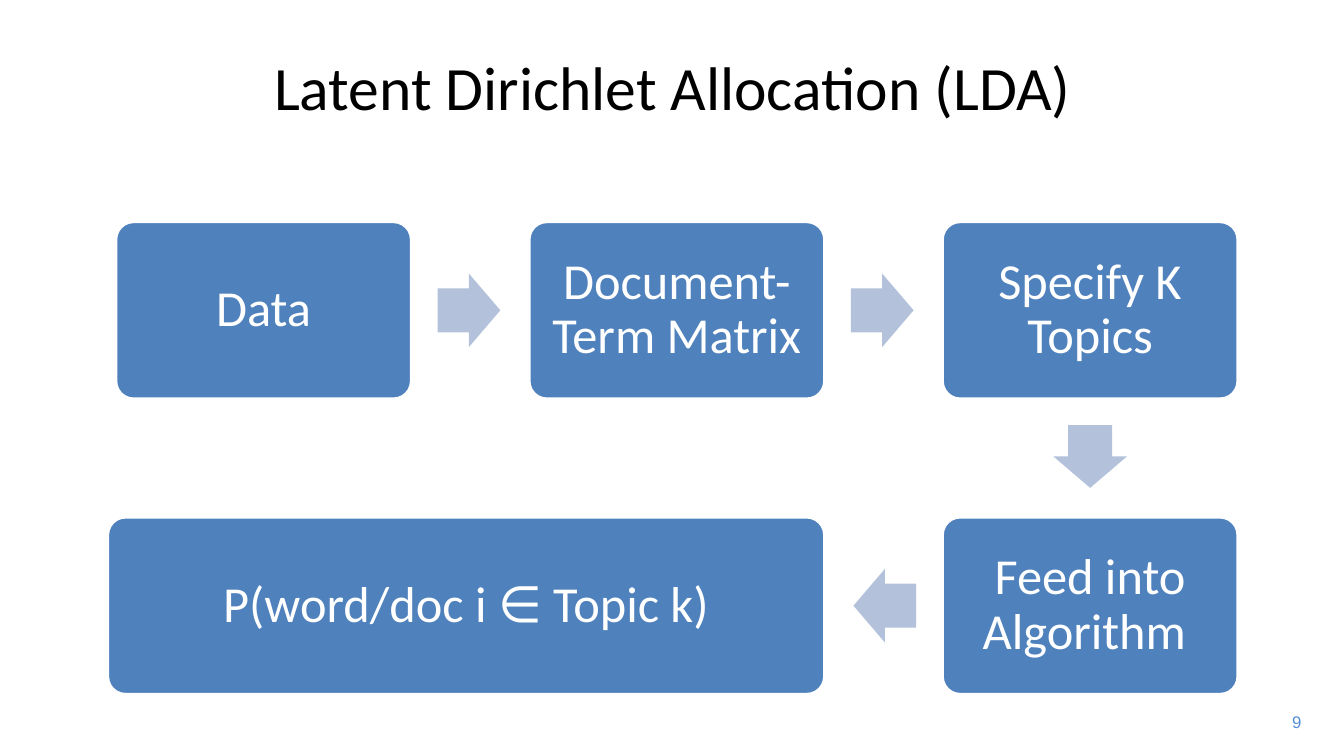
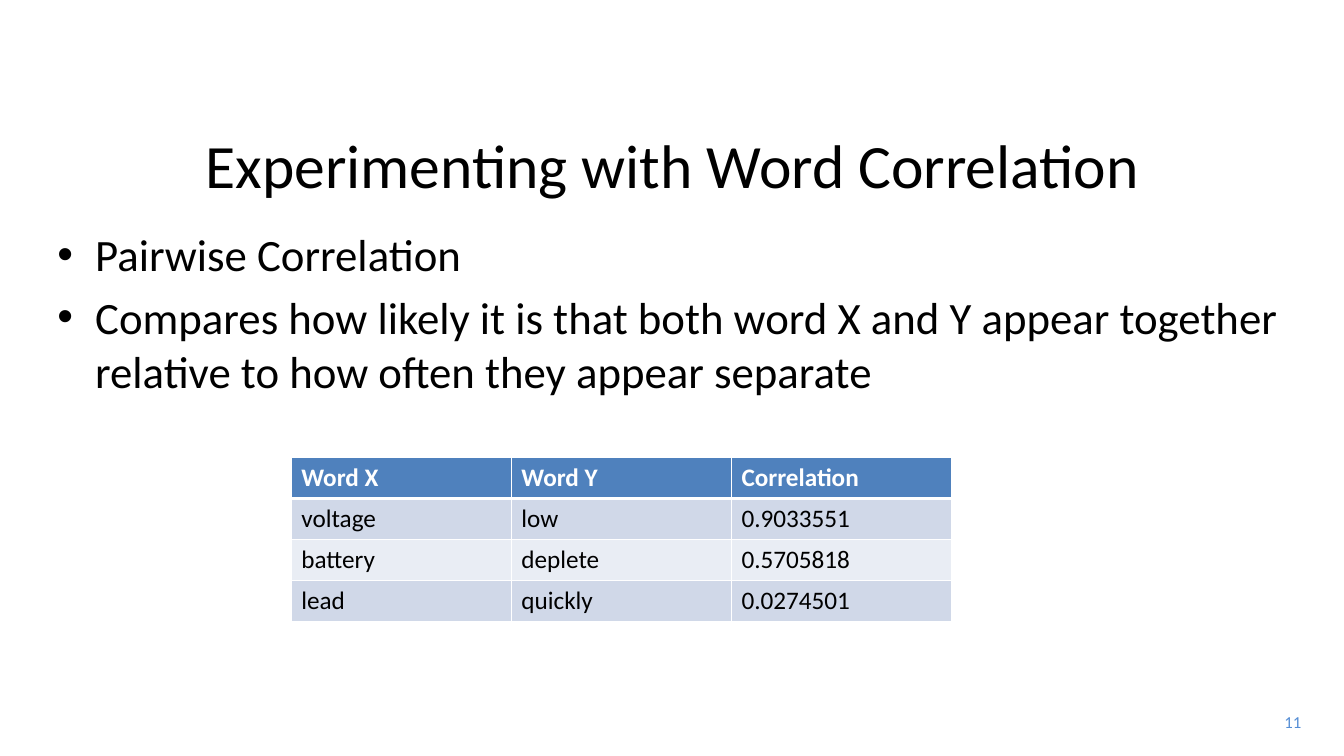
"""Build two slides on topic modelling and word correlation."""
from dataclasses import dataclass
from typing import Any

import pptx
import pptx.dml.color
import pptx.enum.shapes
import pptx.enum.text
import pptx.oxml
import pptx.oxml.ns
import pptx.util

Pt = pptx.util.Pt
ALIGN = pptx.enum.text.PP_ALIGN
ANCHOR = pptx.enum.text.MSO_ANCHOR
SHAPE = pptx.enum.shapes.MSO_SHAPE

BLACK, WHITE = "000000", "FFFFFF"
BLUE, PALE_BLUE, NUMBER_BLUE = "4F81BD", "B3C1DB", "558ED5"
BANDS = ("D0D8E8", "E9EDF4")

CONTENT_LEFT, CONTENT_WIDTH, TITLE_HEIGHT = 33.84, 893.5, 72.7
STEP_WIDTH, STEP_HEIGHT = 211, 126.5
STEP_LEFT, STEP_TOP = 82.8, 158.4
COLUMN_PITCH, ROW_PITCH = 295.2, 211
RESULT_LEFT = 77
ARROW_LENGTH, ARROW_BREADTH, ARROW_GAP = 44.8, 52.4, 18.8
ROW_HEIGHT, COLUMN_WIDTH = 29.2, 157.2

TITLE_FRAME = {"word_wrap": True, "vertical_anchor": ANCHOR.MIDDLE,
               "auto_size": pptx.enum.text.MSO_AUTO_SIZE.NONE}
STEP_FRAME = {"word_wrap": True, "vertical_anchor": ANCHOR.MIDDLE,
              **{f"margin_{side}": Pt(10.8) for side in ("left", "top", "right", "bottom")}}


@dataclass(frozen=True)
class Step:
    """A box of the process, with its grid cell and the turn of its outgoing arrow."""
    label: str
    column: int
    row: int
    turn: int | None = None
    left: float | None = None

    @property
    def box(self) -> tuple[float, float, float, float]:
        """Return left, top, width and height."""
        grid_left = STEP_LEFT + self.column * COLUMN_PITCH
        left = grid_left if self.left is None else self.left
        return left, STEP_TOP + self.row * ROW_PITCH, grid_left + STEP_WIDTH - left, STEP_HEIGHT


STEPS = (
    Step("Data", 0, 0, 0),
    Step("Document-Term Matrix", 1, 0, 0),
    Step("Specify K Topics", 2, 0, 90),
    Step("Feed into Algorithm ", 2, 1, 180),
    Step("P(word/doc i ∈ Topic k)", 1, 1, left=RESULT_LEFT),
)
DIRECTIONS = {0: (1, 0), 90: (0, 1), 180: (-1, 0)}

POINTS = (
    "Pairwise Correlation",
    "Compares how likely it is that both word X and Y appear together "
    "relative to how often they appear separate",
)
CORRELATIONS = (
    ("Word X", "Word Y", "Correlation"),
    ("voltage", "low", "0.9033551"),
    ("battery", "deplete", "0.5705818"),
    ("lead", "quickly", "0.0274501"),
)


def rgb(value: str) -> pptx.dml.color.RGBColor:
    """Turn a hex string into a colour."""
    return pptx.dml.color.RGBColor.from_string(value)


def apply(target: Any, values: dict[str, Any]) -> None:
    """Set every named attribute on the target."""
    for name, value in values.items():
        setattr(target, name, value)


def fill(target: Any, color: str) -> None:
    """Give the target a solid fill."""
    target.fill.solid()
    target.fill.fore_color.rgb = rgb(color)


def write(paragraph: Any, text: str, size: float, color: str, font: str = "Calibri",
          bold: bool = False, **layout: Any) -> None:
    """Write one formatted run into a paragraph."""
    apply(paragraph, layout)
    run = paragraph.add_run()
    run.text = text
    apply(run.font, {"name": font, "size": Pt(size), "bold": bold})
    run.font.color.rgb = rgb(color)


def add_titled_slide(deck: Any, title: str, top: float, number: str, number_font: str) -> Any:
    """Add a slide with its title and page number."""
    slide = deck.slides.add_slide(deck.slide_layouts[5])
    heading = slide.shapes.title
    apply(heading, {"left": Pt(CONTENT_LEFT), "top": Pt(top),
                    "width": Pt(CONTENT_WIDTH), "height": Pt(TITLE_HEIGHT)})
    apply(heading.text_frame, TITLE_FRAME)
    write(heading.text_frame.paragraphs[0], title, 44, BLACK, alignment=ALIGN.CENTER)
    page = slide.shapes.add_textbox(Pt(907.2), Pt(504.7), Pt(29.5), Pt(21.6)).text_frame
    page.word_wrap = True
    write(page.paragraphs[0], number, 12, NUMBER_BLUE, number_font, alignment=ALIGN.RIGHT)
    return slide


def add_block(slide: Any, kind: Any, box: tuple[float, ...], color: str,
              adjustments: tuple[float, ...]) -> Any:
    """Add a flat preset shape."""
    block = slide.shapes.add_shape(kind, *map(Pt, box))
    block.shadow.inherit = False
    fill(block, color)
    for index, value in enumerate(adjustments):
        block.adjustments[index] = value
    return block


def add_step(slide: Any, step: Step) -> None:
    """Draw a process box and the arrow that leaves it."""
    block = add_block(slide, SHAPE.ROUNDED_RECTANGLE, step.box, BLUE, (0.1,))
    block.line.color.rgb = rgb(WHITE)
    block.line.width = Pt(2)
    apply(block.text_frame, STEP_FRAME)
    write(block.text_frame.paragraphs[0], step.label, 36, WHITE,
          alignment=ALIGN.CENTER, line_spacing=0.9)
    if step.turn is None:
        return
    left, top, width, height = step.box
    across, down = DIRECTIONS[step.turn]
    reach = ARROW_GAP + ARROW_LENGTH / 2
    center_x = left + width / 2 + across * (width / 2 + reach)
    center_y = top + height / 2 + down * (height / 2 + reach)
    arrow_box = (center_x - ARROW_LENGTH / 2, center_y - ARROW_BREADTH / 2,
                 ARROW_LENGTH, ARROW_BREADTH)
    arrow = add_block(slide, SHAPE.RIGHT_ARROW, arrow_box, PALE_BLUE, (0.6, 0.5))
    arrow.line.fill.background()
    arrow.rotation = step.turn


def add_points(slide: Any, points: tuple[str, ...]) -> None:
    """Add the bulleted text."""
    frame = slide.shapes.add_textbox(Pt(CONTENT_LEFT), Pt(158.4),
                                     Pt(CONTENT_WIDTH), Pt(337.7)).text_frame
    frame.word_wrap = True
    for index, point in enumerate(points):
        paragraph = frame.add_paragraph() if index else frame.paragraphs[0]
        properties = paragraph._p.get_or_add_pPr()
        properties.set("marL", str(Pt(27)))
        properties.set("indent", str(-Pt(27)))
        for tag, key, value in (("buFont", "typeface", "Arial"), ("buChar", "char", "•")):
            bullet = pptx.oxml.parse_xml(
                f'<a:{tag} {pptx.oxml.ns.nsdecls("a")} {key}="{value}"/>')
            properties.append(bullet)
        write(paragraph, point, 32, BLACK, space_before=Pt(6.4 if index else 0))


def add_borders(cell: Any, widths: dict[str, float]) -> None:
    """Give a cell white borders of the given widths."""
    properties = cell._tc.get_or_add_tcPr()
    for side, width in widths.items():
        properties.append(pptx.oxml.parse_xml(
            f'<a:ln{side} {pptx.oxml.ns.nsdecls("a")} w="{Pt(width)}"><a:solidFill>'
            f'<a:srgbClr val="{WHITE}"/></a:solidFill></a:ln{side}>'))


def add_correlations(slide: Any, rows: tuple[tuple[str, ...], ...]) -> None:
    """Add the banded table under its header row."""
    columns = len(rows[0])
    table = slide.shapes.add_table(len(rows), columns, Pt(208.1), Pt(326.9),
                                   Pt(columns * COLUMN_WIDTH), Pt(len(rows) * ROW_HEIGHT)).table
    for column in table.columns:
        column.width = Pt(COLUMN_WIDTH)
    for index, values in enumerate(rows):
        table.rows[index].height = Pt(ROW_HEIGHT)
        header = index == 0
        widths = {"L": 1, "R": 1, "T": 3 if index == 1 else 1, "B": 3 if header else 1}
        for cell, value in zip(table.rows[index].cells, values):
            add_borders(cell, widths)
            fill(cell, BLUE if header else BANDS[(index - 1) % 2])
            write(cell.text_frame.paragraphs[0], value, 18,
                  WHITE if header else BLACK, bold=header)


def main() -> None:
    """Build and save the deck."""
    deck = pptx.Presentation()
    apply(deck, {"slide_width": Pt(960), "slide_height": Pt(540)})
    process = add_titled_slide(deck, "Latent Dirichlet Allocation (LDA)", 25.2, "9", "Arial")
    for step in STEPS:
        add_step(process, step)
    experiment = add_titled_slide(deck, "Experimenting with Word Correlation", 80.6,
                                  "11", "Calibri")
    add_points(experiment, POINTS)
    add_correlations(experiment, CORRELATIONS)
    deck.save("out.pptx")


if __name__ == "__main__":
    main()
